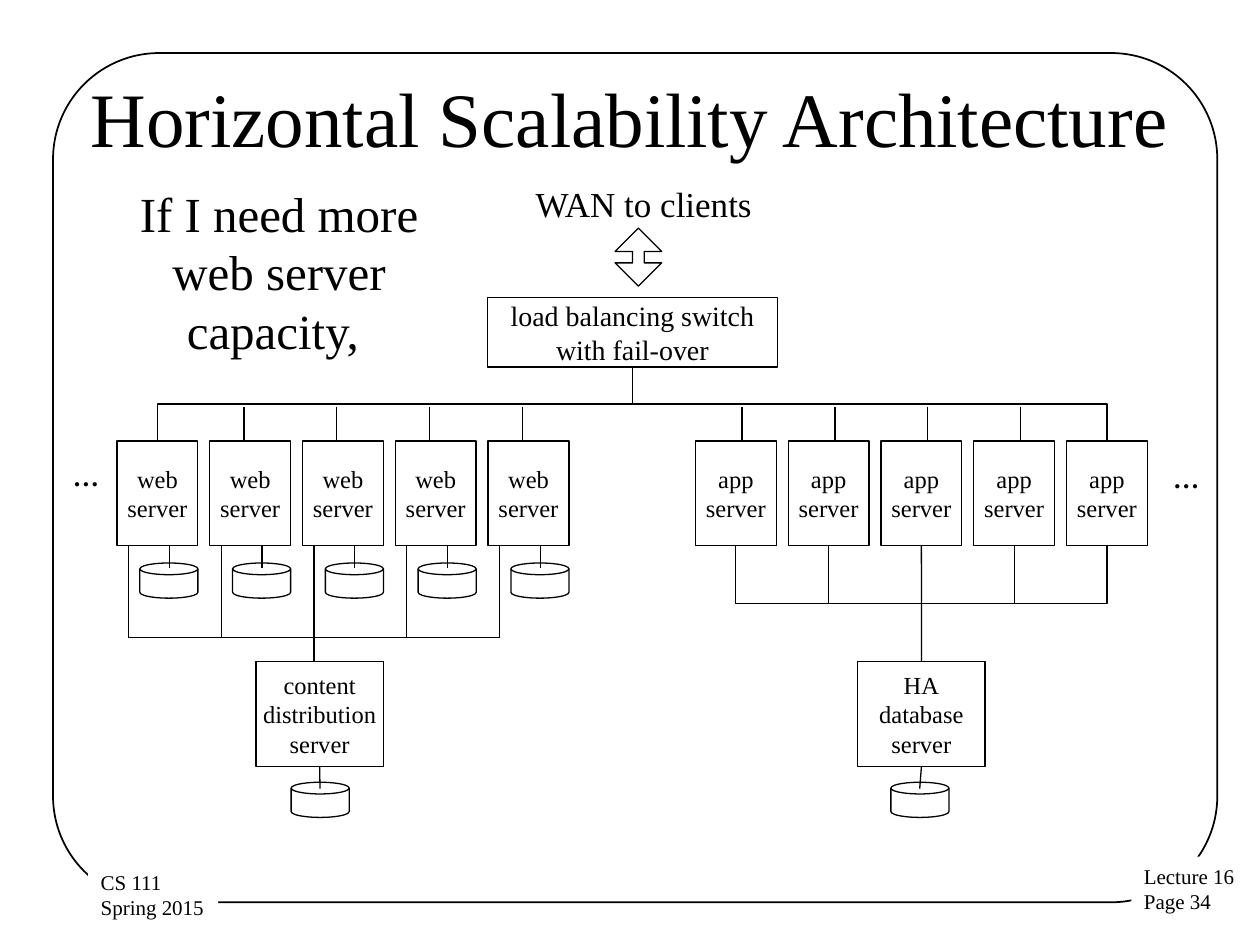
"""Build the horizontal scalability architecture slide."""
from pptx import Presentation
from pptx.dml.color import RGBColor
from pptx.enum.shapes import MSO_CONNECTOR, MSO_SHAPE
from pptx.enum.text import MSO_ANCHOR, PP_ALIGN
from pptx.oxml.ns import qn
from pptx.util import Cm, Pt
from lxml.etree import SubElement

TOP, BOTTOM, LEFT, RIGHT = 0, 2, 1, 3


def color(fmt, value):
    fmt.rgb = RGBColor.from_string(value)


def write(sp, text, size=14, bold=False, align=PP_ALIGN.CENTER,
          anchor=MSO_ANCHOR.MIDDLE, wrap=False, inset=(0.28, 0.15), font="Times New Roman"):
    tf = sp.text_frame
    tf.word_wrap = wrap
    tf.vertical_anchor = anchor
    tf.margin_left = tf.margin_right = Cm(inset[0])
    tf.margin_top = tf.margin_bottom = Cm(inset[1])
    for i, line in enumerate(text.split("\n")):
        p = tf.paragraphs[0] if i == 0 else tf.add_paragraph()
        p.alignment = align
        r = p.add_run()
        r.text = line
        r.font.name, r.font.size, r.font.bold = font, Pt(size), bold
        color(r.font.color, Diagram.ink)


class Diagram:
    ink = "000000"
    paper = "FFFFFF"
    stroke = 0.75

    def __init__(self, s):
        self.s = s

    def shape(self, kind, x, y, w, h, width=stroke):
        sp = self.s.shapes.add_shape(kind, Cm(x), Cm(y), Cm(w), Cm(h))
        sp.shadow.inherit = False
        sp.fill.background()
        color(sp.line.color, self.ink)
        sp.line.width = Pt(width)
        return sp

    def box(self, text, x, y, w, h, size=14):
        sp = self.shape(MSO_SHAPE.RECTANGLE, x, y, w, h)
        write(sp, text, size)
        return sp

    def disk(self, x, y):
        return self.shape(MSO_SHAPE.FLOWCHART_MAGNETIC_DISK, x, y, 1.17, 0.71)

    def label(self, text, x, y, w, h, **fmt):
        sp = self.s.shapes.add_textbox(Cm(x), Cm(y), Cm(w), Cm(h))
        write(sp, text, **{"align": PP_ALIGN.LEFT, "anchor": MSO_ANCHOR.TOP, **fmt})
        return sp

    def footer(self, text, x, y, w):
        sp = self.label(text, x, y, w, 1.3, size=12, inset=(0.25, 0.13))
        sp.fill.solid()
        color(sp.fill.fore_color, self.paper)

    def line(self, x1, y1, x2, y2, kind=MSO_CONNECTOR.STRAIGHT):
        c = self.s.shapes.add_connector(kind, Cm(x1), Cm(y1), Cm(x2), Cm(y2))
        color(c.line.color, self.ink)
        c.line.width = Pt(self.stroke)
        SubElement(c._element.spPr, qn("a:effectLst"))
        return c

    def join(self, a, a_side, b, b_side):
        c = self.line(0, 0, 1, 1)
        c.begin_connect(a, a_side)
        c.end_connect(b, b_side)

    def elbow(self, a, a_side, b, b_side):
        """Join two boxes by a connector that leaves and arrives vertically."""
        c = self.line(0, 0, 1, 1, MSO_CONNECTOR.ELBOW)
        c.begin_connect(a, a_side)
        c.end_connect(b, b_side)
        dx, dy = c.end_x - c.begin_x, c.end_y - c.begin_y
        mid_x, mid_y = (c.begin_x + c.end_x) // 2, (c.begin_y + c.end_y) // 2
        w, h = abs(dy), abs(dx)
        xfrm = c._element.spPr.find(qn("a:xfrm"))
        xfrm.set("rot", str((90 if dx < 0 else 270) * 60000))
        xfrm.set("flipH", str(int((dx < 0) == (dy < 0))))
        xfrm.set("flipV", "0")
        off, ext = xfrm.find(qn("a:off")), xfrm.find(qn("a:ext"))
        off.set("x", str(mid_x - w // 2))
        off.set("y", str(mid_y - h // 2))
        ext.set("cx", str(w))
        ext.set("cy", str(h))


def main():
    prs = Presentation()
    prs.slide_width, prs.slide_height = Cm(25.4), Cm(19.05)
    d = Diagram(prs.slides.add_slide(prs.slide_layouts[6]))

    frame = d.shape(MSO_SHAPE.ROUNDED_RECTANGLE, 1.07, 1.07, 23.47, 17.12, width=1)
    frame.adjustments[0] = 0.125
    d.footer("Lecture 16\nPage 34", 22.81, 17.27, 2.36)
    d.footer("CS 111\nSpring 2015", 1.78, 17.4, 2.62)
    d.label("Horizontal Scalability Architecture", 1.27, 0.76, 22.86, 3.18, size=44,
            align=PP_ALIGN.CENTER, anchor=MSO_ANCHOR.MIDDLE, wrap=True, inset=(0.25, 0.13))
    d.label("If I need more web server capacity, ", 1.98, 3.56, 7.29, 3.84, size=28,
            align=PP_ALIGN.CENTER, wrap=True, inset=(0.25, 0.13))
    d.label("WAN to clients", 10.52, 3.53, 4.95, 1.14, size=20)
    arrow = d.shape(MSO_SHAPE.UP_DOWN_ARROW, 12.4, 4.6, 0.94, 1.17)
    arrow.adjustments[0], arrow.adjustments[1] = 0.5, 0.25
    switch = d.box("load balancing switch\nwith fail-over", 9.83, 6, 5.84, 1.4, size=16)

    pitch, w, h, top = 1.87, 1.63, 2.11, 8.89
    bottom, stub_top, bus_y, store_y = top + h, 8.2, 12.85, 13.34
    web_x = [2.36 + pitch * i for i in range(5)]
    app_x = [14.02 + pitch * i for i in range(5)]
    web = [d.box("web\nserver", x, top, w, h) for x in web_x]
    app = [d.box("app\nserver", x, top, w, h) for x in app_x]
    content = d.box("content\ndistribution\nserver", 5.16, store_y, 2.57, h)
    database = d.box("HA\ndatabase\nserver", 17.29, store_y, 2.57, h)

    for x in web_x:
        d.disk(x + 0.46, 11.35)
        d.line(x + 1.05, 11.46, x + 1.05, bottom)
        d.line(x + 0.23, bus_y, x + 0.23, bottom)
    d.line(web_x[0] + 0.23, bus_y, web_x[-1] + 0.23, bus_y)
    d.line(web_x[2] + 0.23, store_y, web_x[2] + 0.23, bus_y)

    for x in [x + 0.69 for x in web_x[1:]] + [x + 0.94 for x in app_x[:-1]]:
        d.line(x, top, x, stub_top)
    d.elbow(switch, BOTTOM, web[0], TOP)
    d.elbow(app[-1], TOP, switch, BOTTOM)

    for server in app[:2] + app[3:]:
        d.elbow(database, TOP, server, BOTTOM)
    d.join(database, TOP, app[2], BOTTOM)

    for store, x in ((content, 5.87), (database, 17.96)):
        d.disk(x, 15.77)
        d.line(x + 0.58, 15.9, x + 0.58, store_y + h).end_connect(store, BOTTOM)

    for x, y in ((23.37, 9.17), (1.19, 9.12)):
        d.label("…", x, y, 1.12, 0.94, size=15, bold=True)

    prs.save("out.pptx")


if __name__ == "__main__":
    main()
